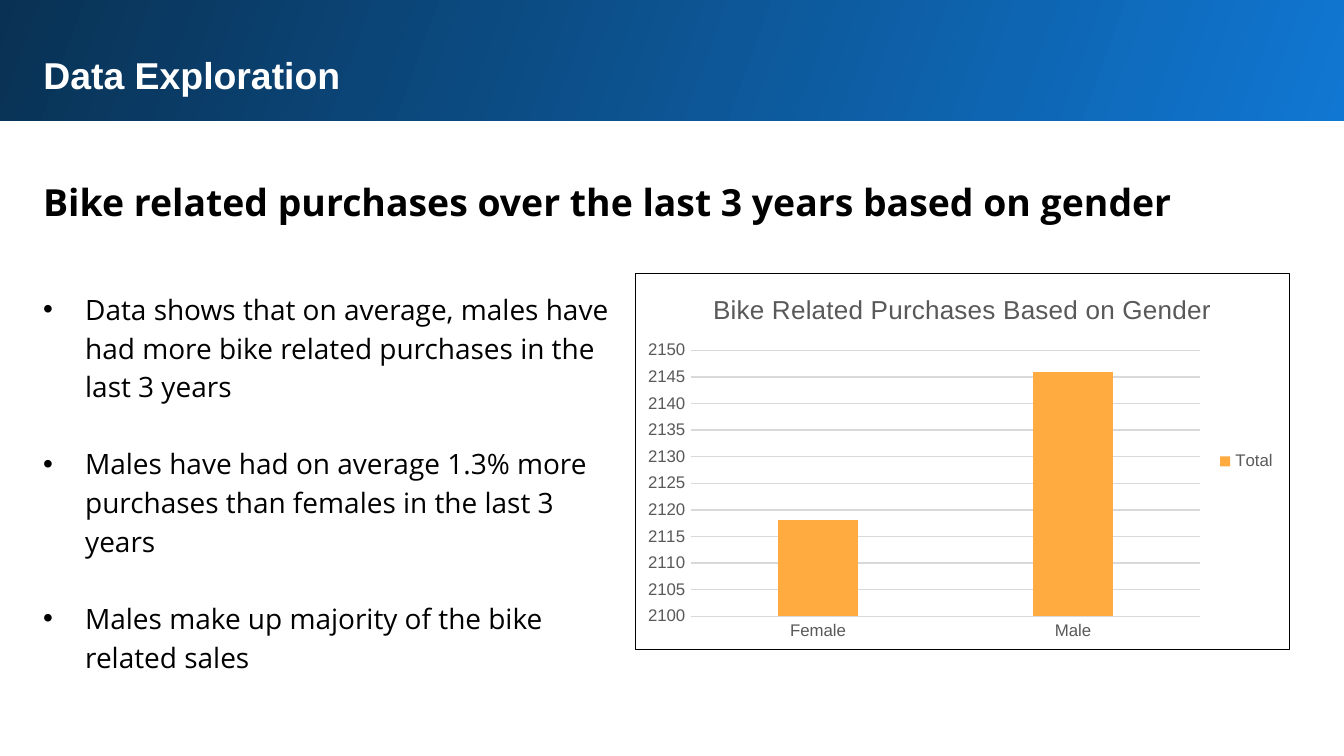
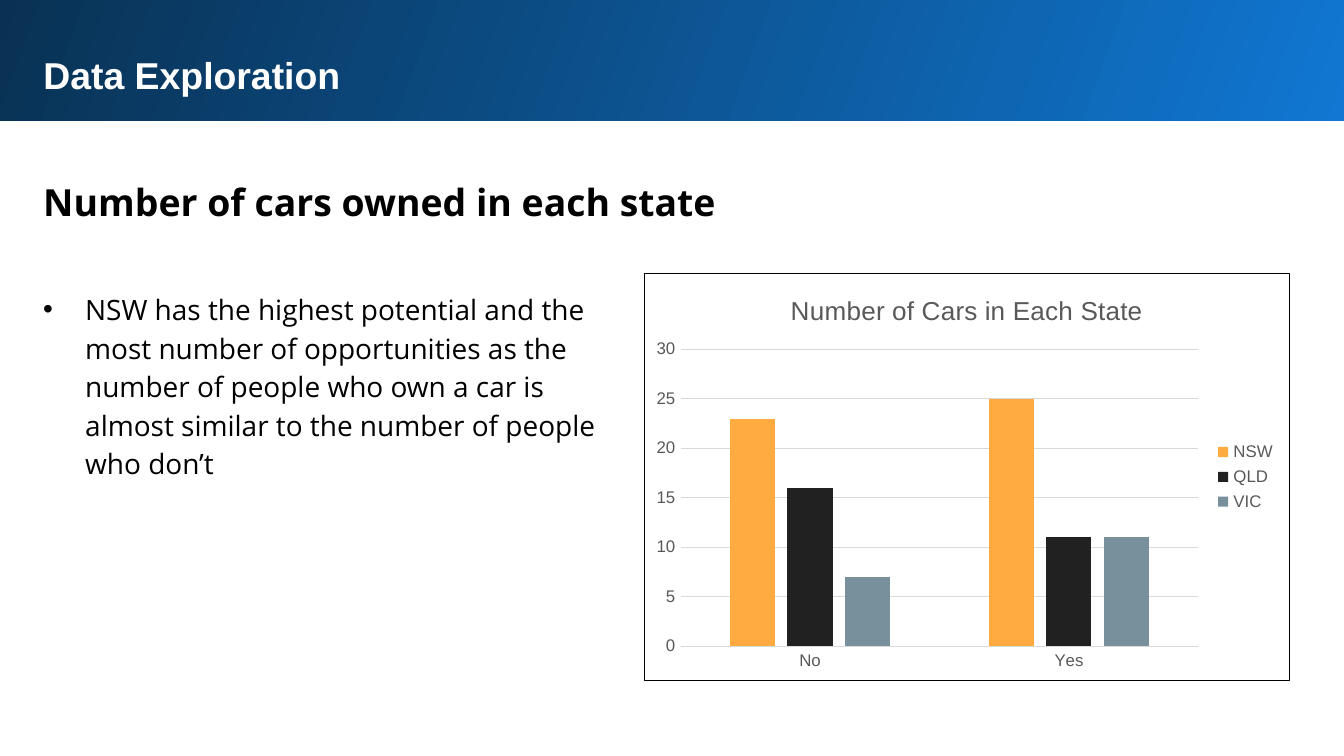
from lxml.etree import SubElement
from pptx import Presentation
from pptx.chart.data import CategoryChartData
from pptx.dml.color import RGBColor
from pptx.enum.chart import XL_CHART_TYPE, XL_LEGEND_POSITION, XL_TICK_MARK
from pptx.enum.shapes import MSO_SHAPE
from pptx.enum.text import MSO_ANCHOR, MSO_AUTO_SIZE, PP_ALIGN
from pptx.oxml import parse_xml
from pptx.oxml.ns import nsdecls, qn
from pptx.util import Inches, Pt

PX = Inches(1) / 134.4
HEAD_FONT, BODY_FONT = "Arial", "Open Sans"
BLACK, WHITE, GREY, GRID = "000000", "FFFFFF", "595959", "D9D9D9"
ORANGE, DARK, SLATE = "FFAB40", "212121", "78909C"
BAND_STOPS = ("1077D2", "093153")
LEFT, WIDTH, TEXT_TOP, CHART_TOP = 30, 1259, 274, 273


def px(n):
    """Turn pixels into EMU."""
    return round(n * PX)


def rgb(color):
    """Turn a hex string into a colour."""
    return RGBColor.from_string(color)


def style_font(font, size, color, name=HEAD_FONT, bold=False):
    """Set size, colour, face and weight of a font."""
    font.size, font.name, font.bold = Pt(size), name, bold
    font.color.rgb = rgb(color)


def write(sp, texts, size=15, color=BLACK, name=BODY_FONT, bold=False,
          spacing=None, bullet=False, gap=0):
    """Fill a shape with one formatted paragraph per text."""
    tf = sp.text_frame
    tf.word_wrap = True
    tf.auto_size = MSO_AUTO_SIZE.SHAPE_TO_FIT_TEXT
    tf.vertical_anchor = MSO_ANCHOR.TOP
    tf.margin_left = tf.margin_right = Inches(0.1)
    tf.margin_top = tf.margin_bottom = Inches(0.1)
    for i, text in enumerate(texts):
        p = tf.add_paragraph() if i else tf.paragraphs[0]
        p.alignment = PP_ALIGN.LEFT
        if spacing:
            p.line_spacing = spacing
        if i and gap:
            p.space_before = Pt(gap)
        if bullet:
            pPr = p._p.get_or_add_pPr()
            pPr.set("marL", str(px(42)))
            pPr.set("indent", str(-px(42)))
            SubElement(pPr, qn("a:buFont")).set("typeface", HEAD_FONT)
            SubElement(pPr, qn("a:buChar")).set("char", "•")
        r = p.add_run()
        r.text = text
        style_font(r.font, size, color, name, bold)


class Deck:
    """The presentation, its style and the current slide."""

    def __init__(self):
        """Start an empty presentation."""
        self.prs = Presentation()
        self.prs.slide_width, self.prs.slide_height = px(1344), px(756)
        self.s = None

    def slide(self, title, heading):
        """Add a slide with its band, title and heading."""
        self.s = self.prs.slides.add_slide(self.prs.slide_layouts[5])
        self.band()
        sp = self.s.shapes.title
        sp.left, sp.top, sp.width, sp.height = map(px, (LEFT, 39, WIDTH, 73))
        write(sp, [title], size=20, color=WHITE, name=HEAD_FONT, bold=True)
        self.text([heading], (LEFT, 159, WIDTH, 77), size=20, bold=True)

    def band(self):
        """Put the gradient band behind the title."""
        sp = self.s.shapes.add_shape(MSO_SHAPE.RECTANGLE,
                                     *map(px, (-3, -3, 1351, 124)))
        sp.shadow.inherit = False
        sp.line.fill.background()
        sp.fill.gradient()
        sp.fill.gradient_angle = 160
        for stop, color in zip(sp.fill.gradient_stops, BAND_STOPS):
            stop.color.rgb = rgb(color)
        self.s.shapes._spTree.insert(2, sp._element)

    def text(self, texts, box, **fmt):
        """Add a text box."""
        sp = self.s.shapes.add_textbox(*map(px, box))
        write(sp, texts, spacing=1.15, **fmt)

    def bullets(self, texts, height):
        """Add the bullet list on the left."""
        self.text(texts, (LEFT, TEXT_TOP, 607, height), bullet=True, gap=20.7)

    def chart(self, title, box, plot, cats, series, scale):
        """Add a column chart; series holds (name, values, colour)."""
        data = CategoryChartData()
        data.categories = cats
        for name, values, _ in series:
            data.add_series(name, values)
        chart = self.s.shapes.add_chart(XL_CHART_TYPE.COLUMN_CLUSTERED,
                                        *map(px, box), data).chart
        style_font(chart.font, 10, BLACK)
        tf = chart.chart_title.text_frame
        tf.text = title
        style_font(tf.paragraphs[0].runs[0].font, 14, GREY)
        chart.chart_title.include_in_layout = False
        chart.has_legend = True
        chart.legend.position = XL_LEGEND_POSITION.RIGHT
        chart.legend.include_in_layout = False
        style_font(chart.legend.font, 9, GREY)

        columns = chart.plots[0]
        columns.gap_width, columns.overlap = 219, -27
        columns.vary_by_categories = False
        for ser, (_, _, color) in zip(columns.series, series):
            ser.format.fill.solid()
            ser.format.fill.fore_color.rgb = rgb(color)
        self.axes(chart, scale)
        self.frame(chart, box, plot)

    def axes(self, chart, scale):
        """Style both axes; scale is (minimum, maximum, step)."""
        cat, val = chart.category_axis, chart.value_axis
        for axis in (cat, val):
            axis.major_tick_mark = axis.minor_tick_mark = XL_TICK_MARK.NONE
            style_font(axis.tick_labels.font, 9, GREY)
        val.minimum_scale, val.maximum_scale, val.major_unit = scale
        val.format.line.fill.background()
        val.has_major_gridlines = True
        for line in (cat.format.line, val.major_gridlines.format.line):
            line.color.rgb = rgb(GRID)
            line.width = Pt(0.75)

    def frame(self, chart, box, plot):
        """Draw the chart border and place its inner plot area."""
        space = chart._chartSpace
        space.find(qn("c:chart")).addnext(parse_xml(
            f'<c:spPr {nsdecls("c", "a")}><a:noFill/><a:ln w="{Pt(0.75)}">'
            f'<a:solidFill><a:srgbClr val="{BLACK}"/></a:solidFill></a:ln>'
            '</c:spPr>'))
        area = space.find(".//" + qn("c:plotArea"))
        for old in area.findall(qn("c:layout")):
            area.remove(old)
        left, top, width, height = box
        parts = {"x": (plot[0] - left) / width, "y": (plot[1] - top) / height,
                 "w": plot[2] / width, "h": plot[3] / height}
        layout = parse_xml(f'<c:layout {nsdecls("c")}><c:manualLayout/></c:layout>')
        area.insert(0, layout)
        values = {"layoutTarget": "inner", "xMode": "edge", "yMode": "edge"}
        values.update((key, f"{part:.4f}") for key, part in parts.items())
        for key, value in values.items():
            SubElement(layout[0], qn("c:" + key)).set("val", value)


deck = Deck()

deck.slide("Data Exploration",
           "Bike related purchases over the last 3 years based on gender")
deck.bullets([
    "Data shows that on average, males have had more bike related purchases "
    "in the last 3 years",
    "Males have had on average 1.3% more purchases than females in the last "
    "3 years",
    "Males make up majority of the bike related sales",
], 417)
deck.chart("Bike Related Purchases Based on Gender",
           (635, CHART_TOP, 655, 377), (690, 350, 511, 267),
           ["Female", "Male"], [("Total", (2118, 2146), ORANGE)],
           (2100, 2150, 5))

deck.slide("Data Exploration", "Number of cars owned in each state")
deck.bullets([
    "NSW has the highest potential and the most number of opportunities as "
    "the number of people who own a car is almost similar to the number of "
    "people who don’t",
], 220)
deck.chart("Number of Cars in Each State",
           (644, CHART_TOP, 646, 408), (680, 349, 519, 298),
           ["No", "Yes"],
           [("NSW", (23, 25), ORANGE), ("QLD", (16, 11), DARK),
            ("VIC", (7, 11), SLATE)],
           (0, 30, 5))

deck.prs.save("out.pptx")
